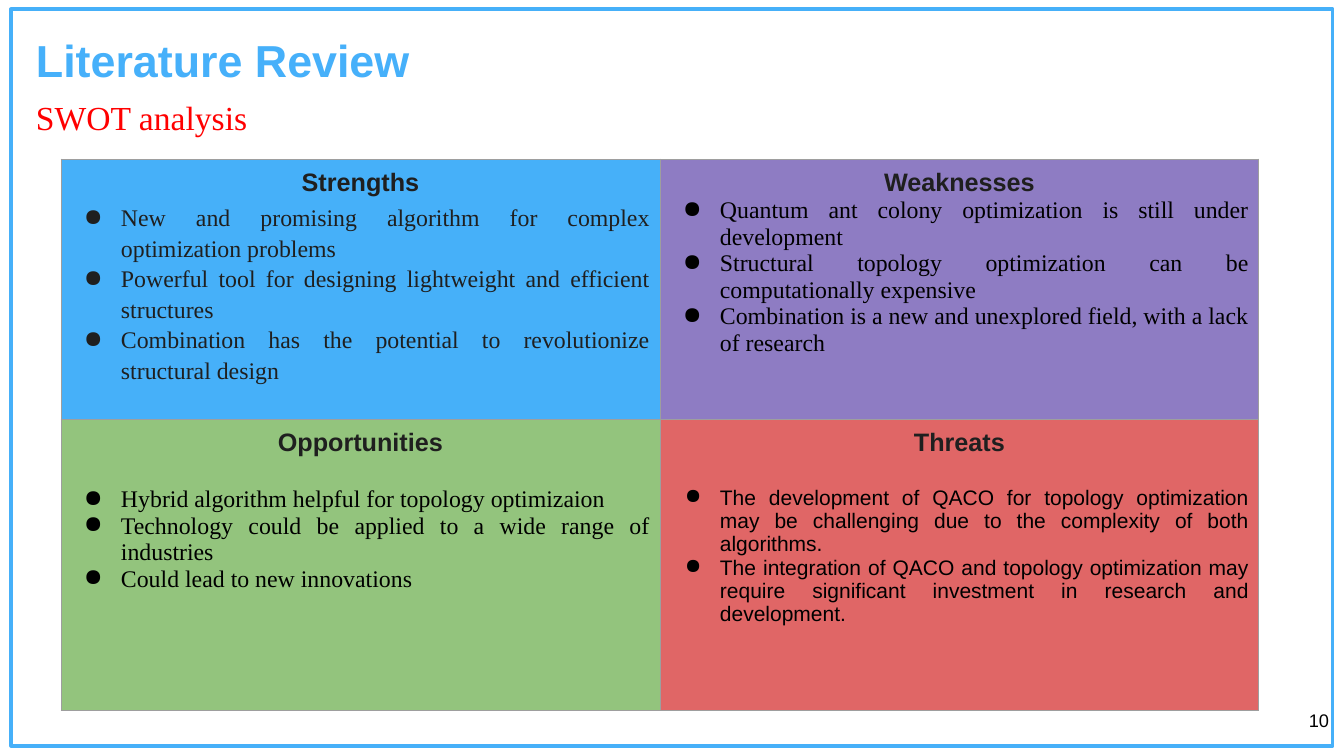
from lxml import etree
from pptx import Presentation, util as u
from pptx.dml.color import RGBColor
from pptx.enum import shapes, text
from pptx.oxml import ns

SCALE = 12192000 / 1344
SANS, SERIF = "Arial", "Times New Roman"
SKY, INK, BLACK, GRAY = "46B0F9", "1F1F1F", "000000", "9E9E9E"
ALIGN = text.PP_ALIGN

QUADRANTS = [
    [
        dict(heading="Strengths", fill=SKY, color=INK, spacing=1.15, gap=3, items=[
            "New and promising algorithm for complex optimization problems",
            "Powerful tool for designing lightweight and efficient structures",
            "Combination has the potential to revolutionize structural design"]),
        dict(heading="Weaknesses", fill="8E7CC3", items=[
            "Quantum ant colony optimization is still under development",
            "Structural topology optimization can be computationally expensive",
            "Combination is a new and unexplored field, with a lack of research"]),
    ],
    [
        dict(heading="Opportunities", fill="93C47D", gap=20.7, items=[
            "Hybrid algorithm helpful for topology optimizaion",
            "Technology could be applied to a wide range of industries",
            "Could lead to new innovations"]),
        dict(heading="Threats", fill="E06666", gap=20.7, font=SANS, size=15, indent=35, items=[
            "The development of QACO for topology optimization may be challenging "
            "due to the complexity of both algorithms.",
            "The integration of QACO and topology optimization may require "
            "significant investment in research and development."]),
    ],
]


def px(length):
    return u.Emu(round(length * SCALE))


def rgb(value):
    return RGBColor.from_string(value)


def add_node(parent, tag, **attributes):
    return etree.SubElement(parent, ns.qn(tag), attributes)


def write(para, words, font, size, color, bold=False, align=ALIGN.LEFT):
    para.text = words
    para.alignment = align
    para.font.name = font
    para.font.size = u.Pt(size)
    para.font.bold = bold
    para.font.color.rgb = rgb(color)


def set_frame(frame, inset, anchor):
    frame.word_wrap = True
    frame.auto_size = text.MSO_AUTO_SIZE.NONE
    frame.margin_left = frame.margin_right = px(10)
    frame.margin_top = frame.margin_bottom = px(inset)
    frame.vertical_anchor = anchor


def add_label(page, words, place, font, size, color, inset, anchor, align=ALIGN.LEFT):
    box = page.shapes.add_textbox(*map(px, place))
    set_frame(box.text_frame, inset, anchor)
    write(box.text_frame.paragraphs[0], words, font, size, color, align=align)


def add_border(page):
    border = page.shapes.add_shape(shapes.MSO_SHAPE.RECTANGLE, *map(px, (11, 9, 1322, 737)))
    border.shadow.inherit = False
    border.fill.background()
    border.line.color.rgb = rgb(SKY)
    border.line.width = u.Pt(2.25)


def set_title(page, words):
    title = page.shapes.title
    title.left, title.top, title.width, title.height = map(px, (26, 27, 831, 65))
    set_frame(title.text_frame, 5, text.MSO_ANCHOR.BOTTOM)
    write(title.text_frame.paragraphs[0], words, SANS, 32, "46B0FA", bold=True)


def add_bullet(para, color, indent):
    props = para._p.get_or_add_pPr()
    props.set("marL", str(px(50)))
    props.set("indent", str(-px(indent)))
    add_node(add_node(props, "a:buClr"), "a:srgbClr", val=color)
    add_node(props, "a:buChar", char="●")


def outline_cell(cell):
    props = cell._tc.get_or_add_tcPr()
    for side in "LRTB":
        line = add_node(props, f"a:ln{side}", w=str(u.Pt(0.75)))
        add_node(add_node(line, "a:solidFill"), "a:srgbClr", val=GRAY)


def fill_quadrant(cell, heading, fill, items, color=BLACK, spacing=1.0, gap=0,
                  font=SERIF, size=17, indent=37):
    outline_cell(cell)
    cell.fill.solid()
    cell.fill.fore_color.rgb = rgb(fill)
    cell.margin_left = cell.margin_right = cell.margin_top = cell.margin_bottom = px(10)
    frame = cell.text_frame
    write(frame.paragraphs[0], heading, SANS, 18, INK, bold=True, align=ALIGN.CENTER)
    for index, item in enumerate(items):
        para = frame.add_paragraph()
        add_bullet(para, color, indent)
        write(para, item, font, size, color, align=ALIGN.JUSTIFY)
        para.line_spacing = spacing
        para.space_before = u.Pt(0 if index else gap)


def add_swot_table(page):
    table = page.shapes.add_table(2, 2, *map(px, (61, 159, 1198, 551))).table
    table.first_row = table.horz_banding = False
    for column in table.columns:
        column.width = px(599)
    for row, height, quadrants in zip(table.rows, (260, 291), QUADRANTS):
        row.height = px(height)
        for cell, quadrant in zip(row.cells, quadrants):
            fill_quadrant(cell, **quadrant)


def main():
    deck = Presentation()
    deck.slide_width, deck.slide_height = px(1344), px(756)
    page = deck.slides.add_slide(deck.slide_layouts[5])
    add_border(page)
    set_title(page, "Literature Review")
    add_label(page, "SWOT analysis", (26, 92, 271, 50), SERIF, 24, "FF0000", 5,
              text.MSO_ANCHOR.BOTTOM)
    add_swot_table(page)
    add_label(page, "10", (1258, 699, 81, 57), SANS, 13, BLACK, 10,
              text.MSO_ANCHOR.TOP, ALIGN.RIGHT)
    deck.save("out.pptx")


if __name__ == "__main__":
    main()
